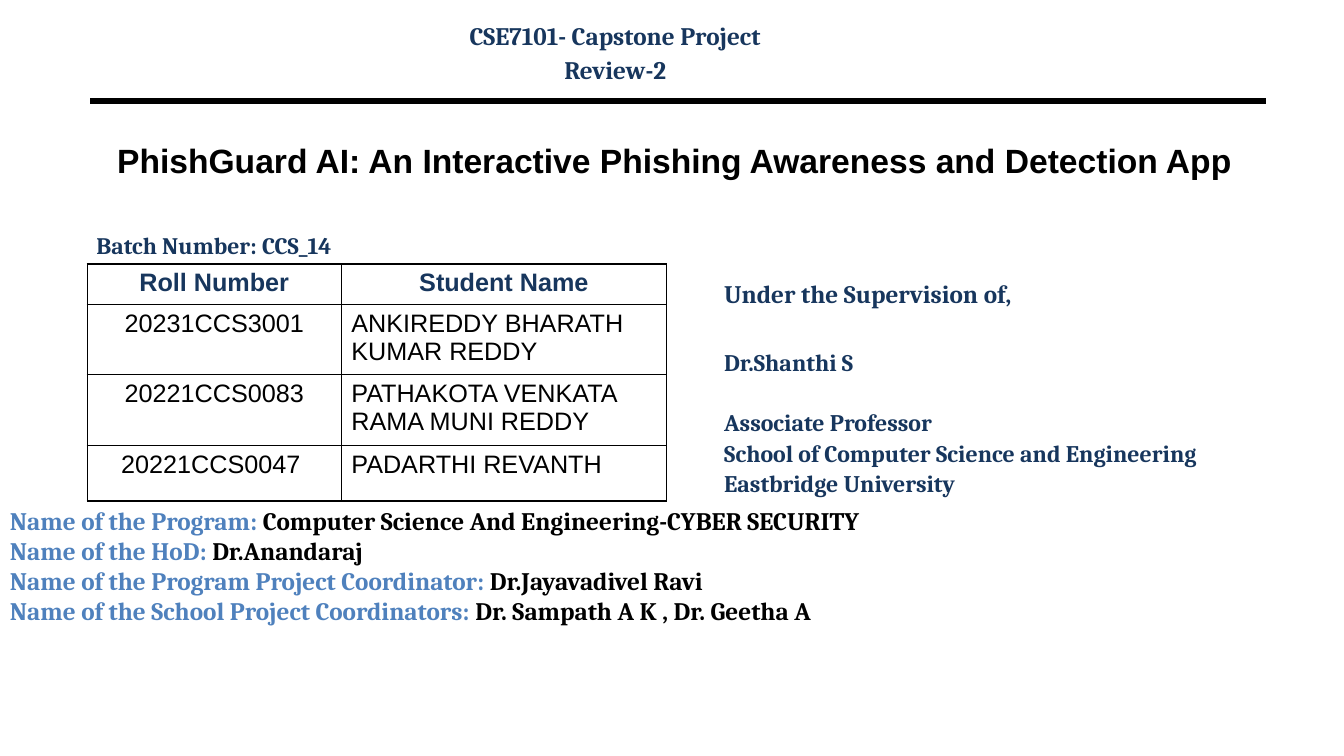
from lxml import etree
from pptx import Presentation
from pptx import util as u
from pptx.dml.color import RGBColor
from pptx.enum import shapes, text
from pptx.oxml import ns

NAVY = RGBColor(0x17, 0x36, 0x5D)
BLUE = RGBColor(0x4F, 0x81, 0xBD)
BLACK = RGBColor(0, 0, 0)
LEFT, CENTER, JUSTIFY = text.PP_ALIGN.LEFT, text.PP_ALIGN.CENTER, text.PP_ALIGN.JUSTIFY


def write(paragraph, content, size=18, color=NAVY, font="Cambria", bold=True,
          align=LEFT, before=0, spacing=1.0):
    """Append a formatted run and set the layout of its paragraph."""
    paragraph.alignment = align
    paragraph.space_before = u.Pt(before)
    paragraph.line_spacing = spacing
    run = paragraph.add_run()
    run.text = content
    run.font.size = u.Pt(size)
    run.font.name = font
    run.font.bold = bold
    run.font.color.rgb = color


def add_box(left, top, width, height, line_count):
    """Add a wrapping text box and return its empty paragraphs."""
    box = slide.shapes.add_textbox(u.Cm(left), u.Cm(top), u.Cm(width), u.Cm(height))
    frame = box.text_frame
    frame.word_wrap = True
    return [frame.paragraphs[0]] + [frame.add_paragraph() for _ in range(line_count - 1)]


presentation = Presentation()
presentation.slide_width = u.Cm(33.87)
presentation.slide_height = u.Cm(19.05)
slide = presentation.slides.add_slide(presentation.slide_layouts[5])

# Project title
title = slide.shapes.title
title.left, title.top, title.width, title.height = u.Cm(2.7), u.Cm(3.4), u.Cm(28.8), u.Cm(1.28)
title.text_frame.word_wrap = True
title.text_frame.auto_size = text.MSO_AUTO_SIZE.SHAPE_TO_FIT_TEXT
title.text_frame.vertical_anchor = text.MSO_ANCHOR.MIDDLE
write(title.text_frame.paragraphs[0],
      "PhishGuard AI: An Interactive Phishing Awareness and Detection App",
      size=24, color=BLACK, font="Arial")

# Course header and rule
course, review = add_box(7.87, 0.38, 15.27, 2.03, 2)
write(course, "CSE7101- Capstone Project", align=CENTER)
write(review, "Review-2", align=CENTER, before=3.1)

rule = slide.shapes.add_connector(shapes.MSO_CONNECTOR.STRAIGHT,
                                  u.Cm(2.27), u.Cm(2.54), u.Cm(31.91), u.Cm(2.54))
rule.line.color.rgb = BLACK
rule.line.width = u.Pt(4.5)
etree.SubElement(rule._element.spPr, ns.qn("a:effectLst"))

# Batch and its students
batch, = add_box(2.18, 5.69, 12.19, 1, 1)
write(batch, "Batch Number: CCS_14", size=16.9)

students = [
    ("Roll Number", "Student Name"),
    ("20231CCS3001", "ANKIREDDY BHARATH KUMAR REDDY"),
    ("20221CCS0083", "PATHAKOTA VENKATA RAMA MUNI REDDY"),
    ("20221CCS0047 ", "PADARTHI REVANTH"),
]
column_widths = [6.4, 8.2]
row_heights = [0.95, 1.68, 1.68, 1.4]
table = slide.shapes.add_table(len(students), 2, u.Cm(2.2), u.Cm(6.65),
                               u.Cm(sum(column_widths)), u.Cm(sum(row_heights))).table
table.first_row = table.horz_banding = False
for column, width in zip(table.columns, column_widths):
    column.width = u.Cm(width)
for row_index, (student, height) in enumerate(zip(students, row_heights)):
    table.rows[row_index].height = u.Cm(height)
    heading = row_index == 0
    for column_index, value in enumerate(student):
        cell = table.cell(row_index, column_index)
        write(cell.text_frame.paragraphs[0], value, font="Arial", bold=heading,
              color=NAVY if heading else BLACK,
              align=CENTER if heading or column_index == 0 else LEFT)
        properties = cell._tc.get_or_add_tcPr()
        for side in ("a:lnL", "a:lnR", "a:lnT", "a:lnB"):
            border = etree.SubElement(properties, ns.qn(side), w=str(u.Pt(0.96)))
            fill = etree.SubElement(border, ns.qn("a:solidFill"))
            etree.SubElement(fill, ns.qn("a:srgbClr"), val=str(BLACK))
        cell.fill.background()

# Supervisor: text, size, space before, line spacing
supervision = [
    ("Under the Supervision of,", 18, 0, 0.9),
    ("Dr.Shanthi S", 17, 27.4, 1.0),
    ("Associate Professor", 17, 25.2, 0.9),
    ("School of Computer Science and Engineering", 17, 3.4, 0.9),
    ("Eastbridge University", 17, 3.4, 0.9),
]
supervisor_lines = add_box(18, 6.98, 15.32, 5.61, len(supervision))
for paragraph, (content, size, before, spacing) in zip(supervisor_lines, supervision):
    write(paragraph, content, size=size, align=JUSTIFY, before=before, spacing=spacing)

# Program staff
staff = [
    ("Name of the Program: ", "Computer Science And Engineering-CYBER SECURITY"),
    ("Name of the HoD: ", "Dr.Anandaraj"),
    ("Name of the Program Project Coordinator: ", "Dr.Jayavadivel Ravi"),
    ("Name of the School Project Coordinators: ", "Dr. Sampath A K , Dr. Geetha A"),
]
for paragraph, (label, name) in zip(add_box(0, 12.6, 33.87, 4.34, len(staff)), staff):
    write(paragraph, label, color=BLUE, align=JUSTIFY)
    write(paragraph, name, color=BLACK, align=JUSTIFY)

presentation.save("out.pptx")
